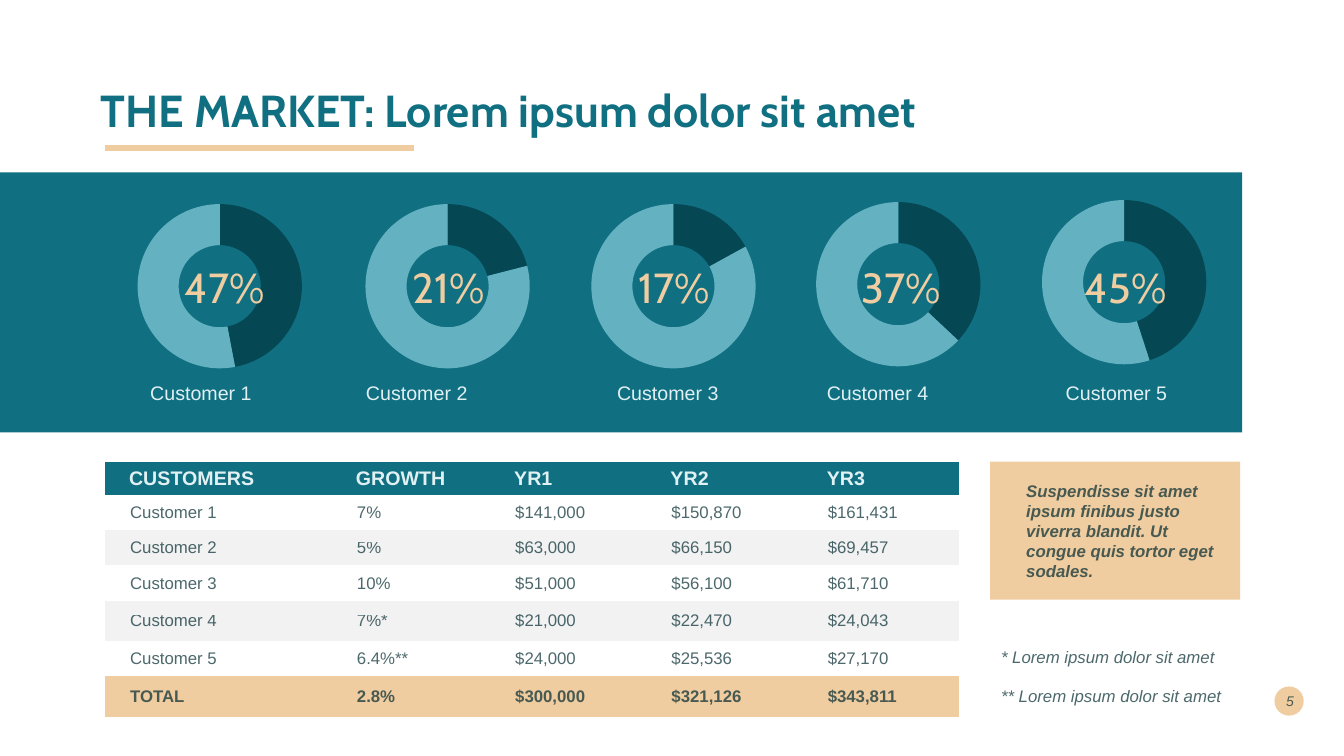
import pptx
import pptx.chart.data
import pptx.dml.color
import pptx.enum.chart
import pptx.enum.shapes
import pptx.enum.text
import pptx.oxml
import pptx.oxml.ns
import pptx.util

Inches = pptx.util.Inches
Pt = pptx.util.Pt
qn = pptx.oxml.ns.qn
Align = pptx.enum.text.PP_ALIGN
Anchor = pptx.enum.text.MSO_ANCHOR
Shape = pptx.enum.shapes.MSO_SHAPE

TEAL, DARK, LIGHT = "107082", "054854", "64B2C1"
SAND, PALE, GREY, INK = "F0CDA1", "E0F0F3", "F2F2F2", "00292E"
PLAIN = "{2D5ABB26-0587-4C30-8999-92F81FD0307C}"

RINGS = [
    (1.1, 1.89, 2.16, 47, 1.48, 1.49),
    (3.23, 1.89, 2.42, 21, 3.62, 1.65),
    (5.47, 1.89, 2.42, 17, 6.11, 1.15),
    (7.7, 1.87, 2.42, 37, 8.19, 1.48),
    (9.94, 1.85, 2.42, 45, 10.56, 1.2),
]
ROWS = [
    ("CUSTOMERS", "GROWTH", "YR1", "YR2", "YR3"),
    ("Customer 1", "7%", "$141,000", "$150,870", "$161,431"),
    ("Customer 2", "5%", "$63,000", "$66,150", "$69,457"),
    ("Customer 3", "10%", "$51,000", "$56,100", "$61,710"),
    ("Customer 4", "7%*", "$21,000", "$22,470", "$24,043"),
    ("Customer 5", "6.4%**", "$24,000", "$25,536", "$27,170"),
    ("TOTAL", "2.8%", "$300,000", "$321,126", "$343,811"),
]
WIDTHS = [2.25, 1.57, 1.55, 1.55, 1.55]
HEIGHTS = [0.33, 0.35, 0.35, 0.35, 0.4, 0.35, 0.4]
FILLS = [TEAL, None, GREY, None, GREY, None, SAND]


def rgb(code):
    return pptx.dml.color.RGBColor.from_string(code)


def paint(fill, code):
    if code:
        fill.solid()
        fill.fore_color.rgb = rgb(code)
    else:
        fill.background()


def write(frame, words, size, code, font="Arial", bold=False, italic=False,
          align=Align.LEFT, left=0, hang=0):
    para = frame.paragraphs[0]
    para.alignment = align
    props = para._p.get_or_add_pPr()
    props.set("marL", str(Inches(left)))
    props.set("indent", str(Inches(hang)))
    run = para.add_run()
    run.text = words
    run.font.name = font
    run.font.size = Pt(size)
    run.font.bold = bold
    run.font.italic = italic
    run.font.color.rgb = rgb(code)
    if code == INK:
        tint = run._r.find(".//" + qn("a:srgbClr"))
        pptx.oxml.ns
        tint.append(pptx.oxml.parse_xml(
            f'<a:alpha {pptx.oxml.ns.nsdecls("a")} val="70000"/>'))
    return para


def add_text(slide, box, words, size, code, anchor=Anchor.MIDDLE,
             tight=False, **style):
    frame = slide.shapes.add_textbox(*map(Inches, box)).text_frame
    frame.word_wrap = True
    frame.vertical_anchor = anchor
    if tight:
        frame.margin_left = frame.margin_right = frame.margin_bottom = 0
        frame.margin_top = Inches(0.01)
    return write(frame, words, size, code, **style)


def add_block(slide, kind, box, code):
    shape = slide.shapes.add_shape(kind, *map(Inches, box))
    shape.shadow.inherit = False
    paint(shape.fill, code)
    shape.line.fill.background()
    return shape


def add_rule(slide, ends, code, width):
    rule = slide.shapes.add_connector(
        pptx.enum.shapes.MSO_CONNECTOR.STRAIGHT, *map(Inches, ends))
    rule.line.color.rgb = rgb(code)
    rule.line.width = Pt(width)
    rule._element.spPr.append(pptx.oxml.parse_xml(
        f'<a:effectLst {pptx.oxml.ns.nsdecls("a")}/>'))


def add_ring(slide, left, top, width, share):
    high, size = 1.9, 1.63
    data = pptx.chart.data.CategoryChartData()
    data.categories = ["1", "2"]
    data.add_series("Series 1", (share, 100 - share))
    chart = slide.shapes.add_chart(
        pptx.enum.chart.XL_CHART_TYPE.DOUGHNUT,
        *map(Inches, (left, top, width, high)), data).chart
    chart.has_legend = False
    chart.has_title = False
    chart.font.name = "Arial"
    chart.font.size = Pt(10)
    chart.font.color.rgb = rgb("000000")
    plot = chart.plots[0]
    plot.vary_by_categories = False
    for spot, code in enumerate((DARK, LIGHT)):
        form = plot.series[0].points[spot].format
        paint(form.fill, code)
        form.line.fill.background()
    area = chart._chartSpace.find(".//" + qn("c:plotArea"))
    area.find(".//" + qn("c:holeSize")).set("val", "67")
    wide, tall = size / width, size / high
    old = area.find(qn("c:layout"))
    if old is not None:
        area.remove(old)
    area.insert(0, pptx.oxml.parse_xml(
        f'<c:layout {pptx.oxml.ns.nsdecls("c")}><c:manualLayout>'
        '<c:layoutTarget val="inner"/>'
        '<c:xMode val="edge"/><c:yMode val="edge"/>'
        f'<c:x val="{(1 - wide) / 2:.4f}"/><c:y val="{(1 - tall) / 2:.4f}"/>'
        f'<c:w val="{wide:.4f}"/><c:h val="{tall:.4f}"/>'
        '</c:manualLayout></c:layout>'))


def add_grid(slide):
    table = slide.shapes.add_table(
        len(ROWS), len(WIDTHS), Inches(1.04), Inches(4.58),
        Inches(sum(WIDTHS)), Inches(sum(HEIGHTS))).table
    table.first_row = table.horz_banding = False
    table._tbl.tblPr.find(qn("a:tableStyleId")).text = PLAIN
    for col, width in zip(table.columns, WIDTHS):
        col.width = Inches(width)
    for at, (words, high, code) in enumerate(zip(ROWS, HEIGHTS, FILLS)):
        table.rows[at].height = Inches(high)
        head = at == 0
        for col, word in enumerate(words):
            cell = table.cell(at, col)
            cell.margin_left = cell.margin_right = 0
            cell.margin_top = cell.margin_bottom = 0
            cell.vertical_anchor = Anchor.MIDDLE
            paint(cell.fill, code)
            write(cell.text_frame, word, 14 if head else 12,
                  PALE if head else INK, bold=at in (0, len(ROWS) - 1),
                  left=0.24 if head else 0.25)


def main():
    deck = pptx.Presentation()
    deck.slide_width = Inches(13.33)
    deck.slide_height = Inches(7.5)
    slide = deck.slides.add_slide(deck.slide_layouts[6])

    add_block(slide, Shape.OVAL, (12.64, 6.81, 0.29, 0.29), SAND)
    add_block(slide, Shape.RECTANGLE, (0, 1.71, 12.32, 2.58), TEAL)
    add_text(slide, (12.54, 6.75, 0.39, 0.4), "5", 10, INK,
             italic=True, align=Align.RIGHT)
    title = add_text(slide, (0.9, 0.4, 11.5, 1.45),
                     "THE MARKET: Lorem ipsum dolor sit amet", 32, TEAL,
                     font="Cabin", bold=True)
    title.line_spacing = 0.9
    add_rule(slide, (1.04, 1.47, 4.11, 1.47), SAND, 4.32)

    for rank, (left, top, width, share, start, span) in enumerate(RINGS, 1):
        add_ring(slide, left, top, width, share)
        add_text(slide, (start, 2.58, span, 0.52), f"{share}%", 30, SAND,
                 Anchor.TOP, True, font="Cabin", align=Align.CENTER,
                 left=0.01)
        add_text(slide, (start, 3.77, span, 0.25), f"Customer {rank}", 14,
                 PALE, Anchor.TOP, True, left=0.01)

    add_grid(slide)
    quote = add_block(slide, Shape.RECTANGLE, (9.82, 4.58, 2.48, 1.37), SAND)
    quote.text_frame.word_wrap = True
    quote.text_frame.vertical_anchor = Anchor.MIDDLE
    write(quote.text_frame,
          "Suspendisse sit amet ipsum finibus justo viverra blandit. "
          "Ut congue quis tortor eget sodales.",
          12, INK, bold=True, italic=True, left=0.26)
    add_text(slide, (9.82, 6.31, 2.48, 0.41), "* Lorem ipsum dolor sit amet",
             12, INK, italic=True, left=0.01)
    add_text(slide, (9.82, 6.7, 2.48, 0.41), "** Lorem ipsum dolor sit amet",
             12, INK, italic=True, left=0.15, hang=-0.14)
    deck.save("out.pptx")


if __name__ == "__main__":
    main()
